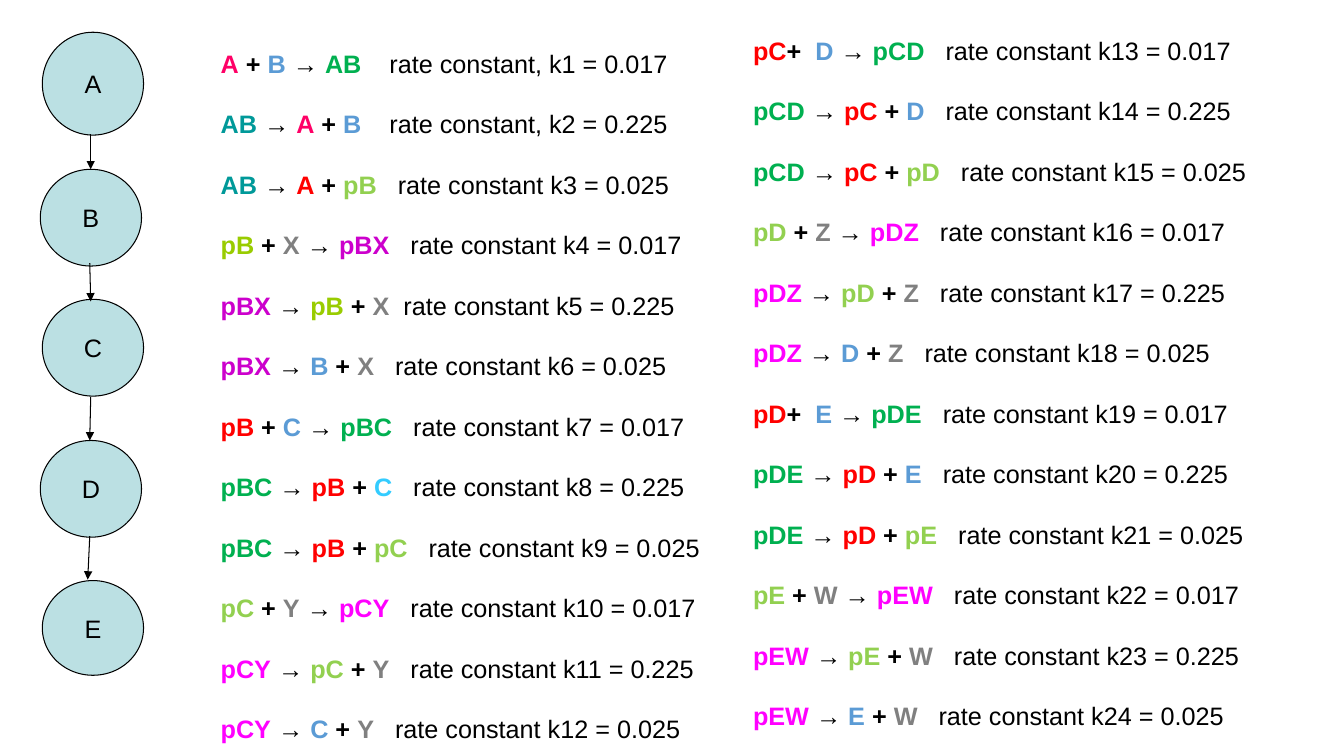
"""Build a slide of a signalling cascade beside its twenty-four rate equations."""
from itertools import cycle

from lxml import etree
from pptx import Presentation
from pptx import util as u
from pptx.dml.color import RGBColor
from pptx.enum import shapes, text
from pptx.oxml.ns import qn

WIDTH, HEIGHT = u.Inches(13.33), u.Inches(7.5)
FONT, SIZE = "Arial", u.Pt(18)
SPACE_WIDTH = 500

BLACK = RGBColor(0x00, 0x00, 0x00)
NODE_FILL = RGBColor(0xBB, 0xE0, 0xE3)
SPECIES_COLOURS = {
    "pink": RGBColor(0xFF, 0x00, 0x66),
    "blue": RGBColor(0x5B, 0x9B, 0xD5),
    "green": RGBColor(0x00, 0xB0, 0x50),
    "teal": RGBColor(0x00, 0x99, 0x99),
    "red": RGBColor(0xFF, 0x00, 0x00),
    "lime": RGBColor(0x92, 0xD0, 0x50),
    "olive": RGBColor(0x99, 0xCC, 0x00),
    "grey": RGBColor(0x80, 0x80, 0x80),
    "purple": RGBColor(0xCC, 0x00, 0xCC),
    "sky": RGBColor(0x33, 0xCC, 0xFF),
    "magenta": RGBColor(0xFF, 0x00, 0xFF),
}

RATES = ("0.017", "0.225", "0.025")
RATE_GAPS = {1: 4, 2: 4, 5: 2}
COMMA_RATES = (1, 2)

EARLY_REACTIONS = (
    "A:pink + B:blue → AB:green",
    "AB:teal → A:pink + B:blue",
    "AB:teal → A:red + pB:lime",
    "pB:olive + X:grey → pBX:purple",
    "pBX:purple → pB:olive + X:grey",
    "pBX:purple → B:blue + X:grey",
    "pB:red + C:blue → pBC:green",
    "pBC:green → pB:red + C:sky",
    "pBC:green → pB:red + pC:lime",
    "pC:lime + Y:grey → pCY:magenta",
    "pCY:magenta → pC:lime + Y:grey",
    "pCY:magenta → C:blue + Y:grey",
)
LATE_REACTIONS = (
    "pC:red +| D:blue → pCD:green",
    "pCD:green → pC:red + D:blue",
    "pCD:green → pC:red + pD:lime",
    "pD:lime + Z:grey → pDZ:magenta",
    "pDZ:magenta → pD:lime + Z:grey",
    "pDZ:magenta → D:blue + Z:grey",
    "pD:red +| E:blue → pDE:green",
    "pDE:green → pD:red + E:blue",
    "pDE:green → pD:red + pE:lime",
    "pE:lime + W:grey → pEW:magenta",
    "pEW:magenta → pE:lime + W:grey",
    "pEW:magenta → E:blue + W:grey",
)

NODES = (
    ("A", 3.15, 4.27, 13.6),
    ("B", 3.0, 22.4, 12.8),
    ("C", 3.15, 39.6, 12.8),
    ("D", 3.0, 58.27, 12.8),
    ("E", 3.15, 76.8, 12.53),
)
NODE_WIDTH = 7.53
ARROWS = (
    (6.75, 17.73, 6.75, 22.4),
    (6.68, 34.8, 6.75, 39.87),
    (6.75, 52.53, 6.68, 58.27),
    (6.68, 70.93, 6.53, 76.67),
)


def share(left, top, width, height):
    """Turn percentages of the slide's size into lengths."""
    return [int(part * whole / 100) for part, whole in
            zip((left, top, width, height), (WIDTH, HEIGHT) * 2)]


def add_run(paragraph, wording, colour=BLACK, bold=False):
    """Append one styled run."""
    run = paragraph.add_run()
    run.text = wording
    run.font.name, run.font.size = FONT, SIZE
    run.font.bold = bold
    run.font.color.rgb = colour
    return run


def add_gap(paragraph, spaces):
    """Append one space, tracked out to the width of several."""
    gap = add_run(paragraph, " ")
    gap._r.get_or_add_rPr().set("spc", str(SPACE_WIDTH * (spaces - 1)))


def write_reaction(paragraph, number, formula, rate):
    """Write a coloured equation and its rate constant."""
    paragraph.line_spacing = 2.0
    for token in formula.split():
        if token == "+|":
            add_run(paragraph, "+", bold=True)
            add_gap(paragraph, 2)
        elif ":" in token:
            species, colour = token.split(":")
            add_run(paragraph, species, SPECIES_COLOURS[colour], True)
        else:
            add_run(paragraph, f" {token} ", bold=True)
    add_gap(paragraph, RATE_GAPS.get(number, 3))
    comma = "," if number in COMMA_RATES else ""
    add_run(paragraph, f"rate constant{comma} k{number} = {rate}")


def add_reactions(slide, reactions, first, area, wrap):
    """Add a column of reactions numbered from first."""
    frame = slide.shapes.add_textbox(*share(*area)).text_frame
    frame.word_wrap = wrap
    frame.auto_size = text.MSO_AUTO_SIZE.SHAPE_TO_FIT_TEXT
    numbered = zip(enumerate(reactions, first), cycle(RATES))
    for (number, formula), rate in numbered:
        paragraph = frame.paragraphs[0] if number == first else frame.add_paragraph()
        write_reaction(paragraph, number, formula, rate)


def add_node(slide, name, left, top, height):
    """Add one labelled circle of the cascade."""
    node = slide.shapes.add_shape(shapes.MSO_SHAPE.OVAL,
                                  *share(left, top, NODE_WIDTH, height))
    node.shadow.inherit = False
    node.fill.solid()
    node.fill.fore_color.rgb = NODE_FILL
    node.line.color.rgb = BLACK
    node.line.width = u.Pt(0.75)
    frame = node.text_frame
    frame.word_wrap = False
    frame.vertical_anchor = text.MSO_ANCHOR.MIDDLE
    label = frame.paragraphs[0]
    label.alignment = text.PP_ALIGN.CENTER
    add_run(label, name)


def add_arrow(slide, ends):
    """Add a thin arrow between two nodes."""
    arrow = slide.shapes.add_connector(shapes.MSO_CONNECTOR.STRAIGHT, *share(*ends))
    arrow.line.color.rgb = BLACK
    arrow.line.width = u.Pt(0.75)
    properties = arrow._element.spPr
    etree.SubElement(properties.find(qn("a:ln")), qn("a:tailEnd"), type="triangle")
    etree.SubElement(properties, qn("a:effectLst"))


def main():
    """Build and save the slide."""
    deck = Presentation()
    deck.slide_width, deck.slide_height = WIDTH, HEIGHT
    slide = deck.slides.add_slide(deck.slide_layouts[6])
    add_reactions(slide, EARLY_REACTIONS, 1, (15.68, 1.73, 39.61, 98.27), True)
    add_reactions(slide, LATE_REACTIONS, len(EARLY_REACTIONS) + 1,
                  (55.29, 0, 38.18, 98.27), False)
    for node in NODES:
        add_node(slide, *node)
    for ends in ARROWS:
        add_arrow(slide, ends)
    deck.save("out.pptx")


if __name__ == "__main__":
    main()
